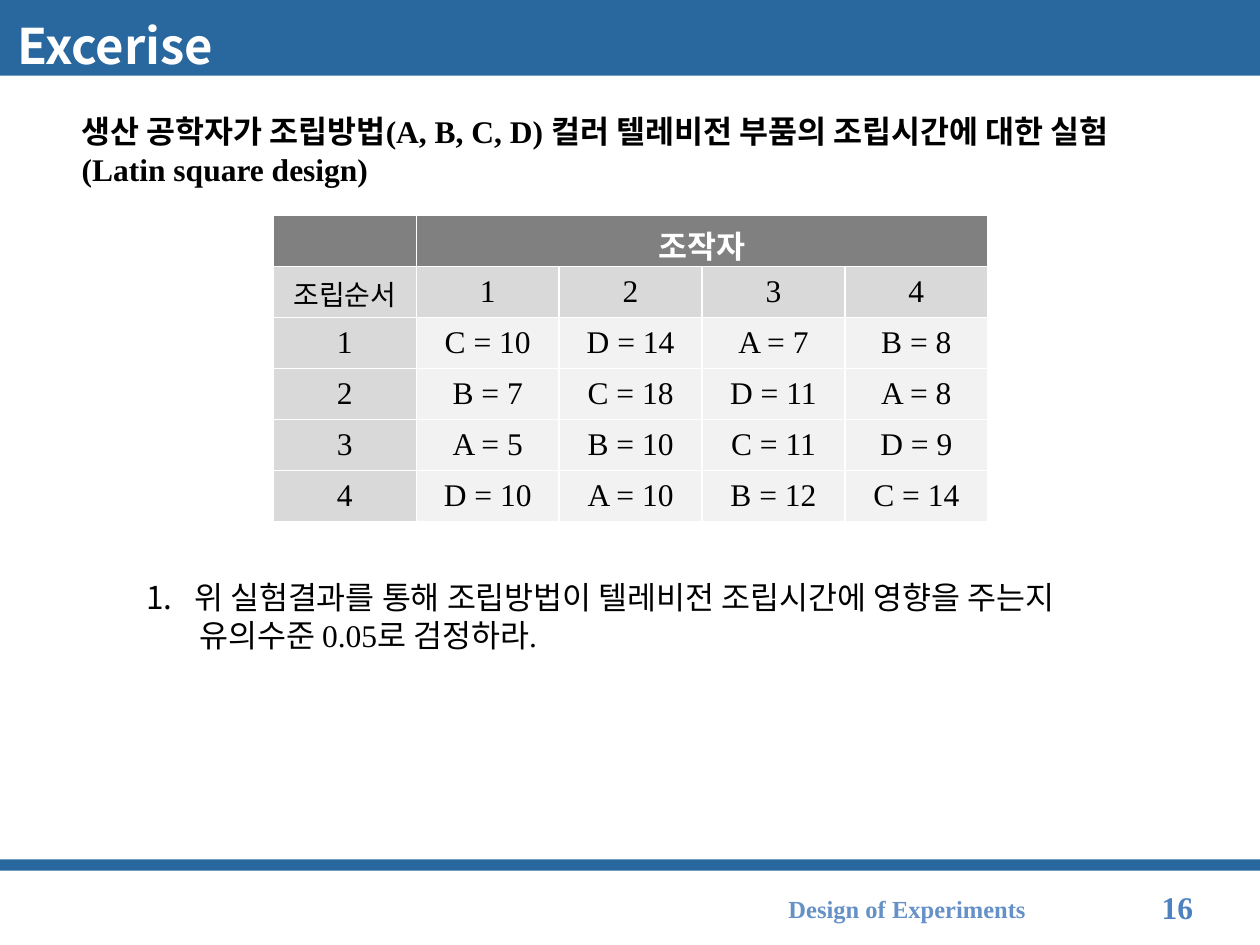
from lxml import etree
from pptx import Presentation
from pptx.dml.color import RGBColor
from pptx.enum.shapes import MSO_SHAPE
from pptx.enum.text import MSO_ANCHOR, MSO_AUTO_SIZE, PP_ALIGN
from pptx.oxml.ns import qn
from pptx.util import Inches, Pt

LEFT, CENTER = PP_ALIGN.LEFT, PP_ALIGN.CENTER
TOP, MIDDLE = MSO_ANCHOR.TOP, MSO_ANCHOR.MIDDLE
RECT, FIXED = MSO_SHAPE.RECTANGLE, MSO_AUTO_SIZE.NONE
SERIF, SANS = "Times New Roman", "Noto Sans CJK KR"
BLUE, WHITE = "29679F", "FFFFFF"

# Content
TITLE = "Excerise"
INTRO = ("생산 공학자가 조립방법(A, B, C, D) 컬러 텔레비전 부품의 조립시간에 대한 실험\v"
         "(Latin square design)")
HEAD = "조작자"
ROWS = [
    ["조립순서", "1", "2", "3", "4"],
    ["1", "C = 10", "D = 14", "A = 7", "B = 8"],
    ["2", "B = 7", "C = 18", "D = 11", "A = 8"],
    ["3", "A = 5", "B = 10", "C = 11", "D = 9"],
    ["4", "D = 10", "A = 10", "B = 12", "C = 14"],
]
TASK = ["위 실험결과를 통해 조립방법이 텔레비전 조립시간에 영향을 주는지",
        "유의수준 0.05로 검정하라."]
FOOTER, PAGE = "Design of Experiments", "16"
BARS = [(0, 0, 10, 0.6), (0, 6.82, 10, 0.09)]


def color(code):
    return RGBColor.from_string(code)


def paint(item, code):
    item.fill.solid()
    item.fill.fore_color.rgb = color(code)


def place(shape, *box):
    shape.left, shape.top, shape.width, shape.height = map(Inches, box)


def write(frame, *lines, size=18, font=SERIF, code="000000", bold=False,
          align=LEFT, anchor=TOP):
    frame.word_wrap = True
    frame.vertical_anchor = anchor
    for i, line in enumerate(lines):
        para = frame.paragraphs[0] if i == 0 else frame.add_paragraph()
        para.text = line
        para.alignment = align
        para.space_before = Pt(0)
        for run in para.runs:
            face = run.font
            face.name, face.size, face.bold = font, Pt(size), bold
            face.color.rgb = color(code)
            east = etree.SubElement(face._element, qn("a:ea"))
            east.set("typeface", SANS)


def mark(para, left, first, number=False):
    props = para._p.get_or_add_pPr()
    props.set("marL", str(Inches(left)))
    props.set("indent", str(Inches(first)))
    if number:
        etree.SubElement(props, qn("a:buFont")).set("typeface", SANS)
        etree.SubElement(props, qn("a:buAutoNum")).set("type", "arabicPeriod")
    else:
        etree.SubElement(props, qn("a:buNone"))


def add_rect(shapes, box, code):
    rect = shapes.add_shape(RECT, *map(Inches, box))
    rect.shadow.inherit = False
    paint(rect, code)
    rect.line.fill.background()
    return rect


def add_text(shapes, box, text, **style):
    label = shapes.add_textbox(*map(Inches, box))
    write(label.text_frame, text, **style)
    return label


deck = Presentation()
deck.slide_width, deck.slide_height = Inches(10), Inches(7.5)
slide = deck.slides.add_slide(deck.slide_layouts[1])
shapes = slide.shapes

# Bars, sent behind the placeholders
for box in BARS:
    bar = add_rect(shapes, box, BLUE)
    shapes._spTree.insert(2, bar._element)

# Title and introduction
title = shapes.title
place(title, 0.04, 0.13, 9.84, 0.46)
write(title.text_frame, TITLE, size=28, font=SANS, code=WHITE, bold=True,
      anchor=MIDDLE)
title.text_frame.auto_size = FIXED
add_text(shapes, (0.55, 0.84, 8.89, 0.71), INTRO, bold=True)

# Latin square table
count = len(ROWS[0])
table = shapes.add_table(len(ROWS) + 1, count, Inches(2.17), Inches(1.71),
                         Inches(5.67), Inches(2.43)).table
table.horz_banding = False
for c in range(count):
    paint(table.cell(0, c), "808080")
table.cell(0, 1).merge(table.cell(0, count - 1))
write(table.cell(0, 1).text_frame, HEAD, code=WHITE, bold=True, align=CENTER)
table.cell(0, 1).vertical_anchor = MIDDLE
for r, row in enumerate(ROWS):
    for c, text in enumerate(row):
        cell = table.cell(r + 1, c)
        paint(cell, "F2F2F2" if r and c else "D9D9D9")
        write(cell.text_frame, text, size=18 if r or c else 16, align=CENTER)
        cell.vertical_anchor = MIDDLE

# Question
body = slide.placeholders[1]
place(body, 1.06, 4.54, 8.09, 1.01)
write(body.text_frame, *TASK)
body.text_frame.auto_size = FIXED
first, second = body.text_frame.paragraphs
mark(first, 0.38, -0.38, number=True)
mark(second, 0.42, 0)

# Footer
foot = add_rect(shapes, (5.94, 7.06, 2.52, 0.31), WHITE)
write(foot.text_frame, FOOTER, size=14, code="6591C7", bold=True,
      align=CENTER, anchor=MIDDLE)
page = add_text(shapes, (8.94, 7, 1.02, 0.4), PAGE, code="4D81BF", bold=True)
page.text_frame.margin_left = Inches(0.28)

deck.save("out.pptx")
